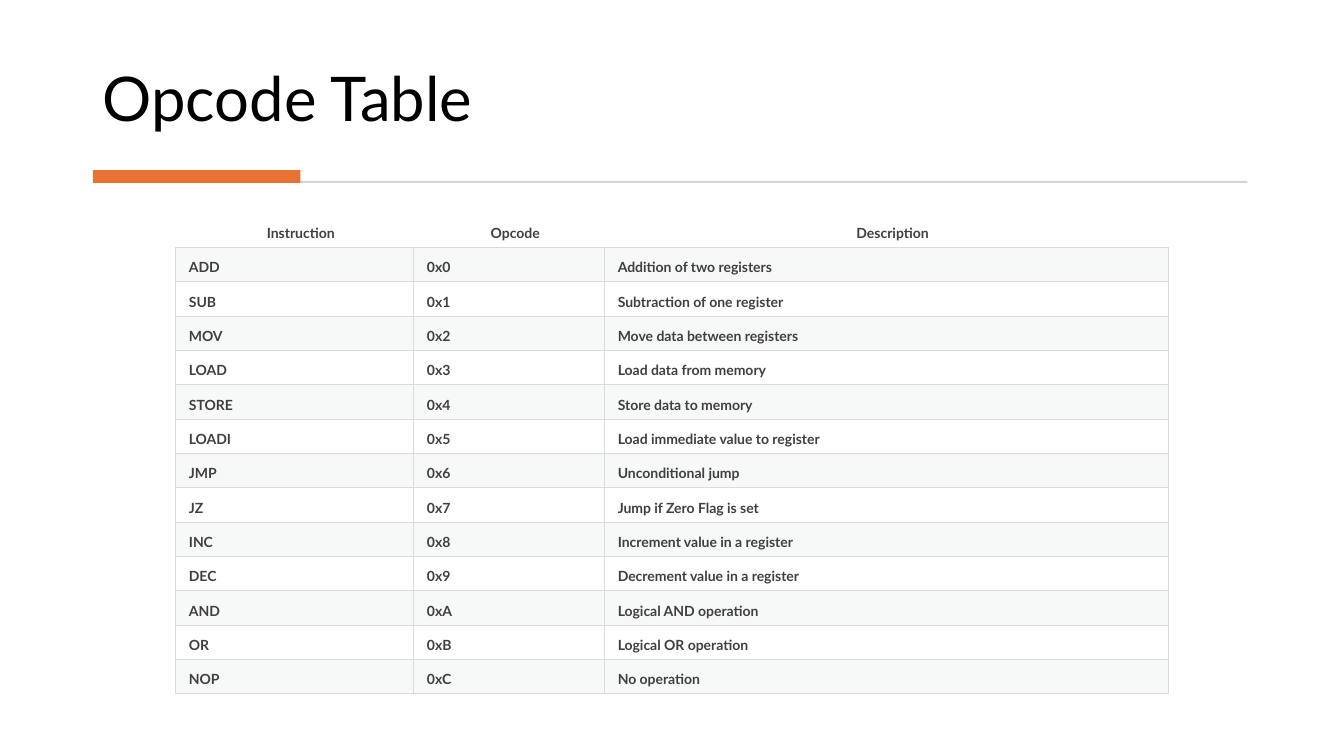
from lxml import etree
from pptx import Presentation
from pptx.dml.color import RGBColor
from pptx.enum import shapes, text
from pptx.oxml import ns
from pptx.util import Cm, Pt

# Content
TITLE = "Opcode Table"
HEADER = ("Instruction", "Opcode", "Description")
INSTRUCTIONS = [
    ("ADD", "Addition of two registers"),
    ("SUB", "Subtraction of one register"),
    ("MOV", "Move data between registers"),
    ("LOAD", "Load data from memory"),
    ("STORE", "Store data to memory"),
    ("LOADI", "Load immediate value to register"),
    ("JMP", "Unconditional jump"),
    ("JZ", "Jump if Zero Flag is set"),
    ("INC", "Increment value in a register"),
    ("DEC", "Decrement value in a register"),
    ("AND", "Logical AND operation"),
    ("OR", "Logical OR operation"),
    ("NOP", "No operation"),
]

# Style
FONT = "Lato"
BLACK = RGBColor(0x00, 0x00, 0x00)
DARK = RGBColor(0x40, 0x40, 0x40)
RULE = RGBColor(0xD5, 0xD5, 0xD5)
ORANGE = RGBColor(0xE9, 0x71, 0x32)
BAND = RGBColor(0xD8, 0xDE, 0xDC)
GRID = RGBColor(0xD8, 0xDC, 0xDC)
BAND_ALPHA = 20
COL_WIDTHS = (Cm(6), Cm(4.81), Cm(14.21))
TABLE_HEIGHT = Cm(12.12)
SIDES = ("L", "R", "T", "B")


def add_bar(s, left, top, width, height, color):
    bar = s.shapes.add_shape(shapes.MSO_SHAPE.RECTANGLE, left, top, width, height)
    bar.shadow.inherit = False
    bar.fill.solid()
    bar.fill.fore_color.rgb = color
    bar.line.fill.background()


def style_text(p, size, color, bold=False):
    font = p.runs[0].font
    font.name, font.size, font.bold = FONT, Pt(size), bold
    font.color.rgb = color


def set_borders(cell, drawn):
    tc_pr = cell._tc.get_or_add_tcPr()
    for i, side in enumerate(SIDES):
        ln = etree.Element(ns.qn(f"a:ln{side}"), w=str(Pt(0.75)))
        if side in drawn:
            fill = etree.SubElement(ln, ns.qn("a:solidFill"))
            etree.SubElement(fill, ns.qn("a:srgbClr"), val=str(GRID))
        else:
            etree.SubElement(ln, ns.qn("a:noFill"))
        tc_pr.insert(i, ln)


def fill_band(cell):
    cell.fill.solid()
    cell.fill.fore_color.rgb = BAND
    color = cell._tc.tcPr.find(".//" + ns.qn("a:srgbClr"))
    etree.SubElement(color, ns.qn("a:alpha"), val=str(BAND_ALPHA * 1000))


def add_opcode_table(s, left, top):
    rows = [HEADER] + [(name, f"0x{code:X}", description)
                       for code, (name, description) in enumerate(INSTRUCTIONS)]
    table = s.shapes.add_table(len(rows), len(HEADER), left, top,
                               sum(COL_WIDTHS), TABLE_HEIGHT).table
    table.horz_banding = False
    for column, width in zip(table.columns, COL_WIDTHS):
        column.width = width
    for r, values in enumerate(rows):
        table.rows[r].height = TABLE_HEIGHT // len(rows)
        for c, value in enumerate(values):
            cell = table.cell(r, c)
            cell.margin_left, cell.margin_right = Cm(0.33), Cm(0.03)
            cell.margin_top = cell.margin_bottom = Cm(0.15)
            cell.vertical_anchor = text.MSO_ANCHOR.BOTTOM
            cell.text_frame.text = value
            p = cell.text_frame.paragraphs[0]
            p.alignment = text.PP_ALIGN.LEFT if r else text.PP_ALIGN.CENTER
            style_text(p, 10, DARK, bold=True)
            if r % 2:
                fill_band(cell)
            else:
                cell.fill.background()
            set_borders(cell, SIDES if r else ("B",))


def main():
    prs = Presentation()
    prs.slide_width, prs.slide_height = Cm(33.87), Cm(19.05)
    s = prs.slides.add_slide(prs.slide_layouts[6])

    # Title
    tf = s.shapes.add_textbox(Cm(2.34), Cm(0.71), Cm(29.18), Cm(2.82)).text_frame
    tf.word_wrap = True
    tf.vertical_anchor = text.MSO_ANCHOR.BOTTOM
    tf.text = TITLE
    tf.paragraphs[0].line_spacing = 0.9
    style_text(tf.paragraphs[0], 44, BLACK)

    # Rule with accent bar
    add_bar(s, Cm(2.41), Cm(4.56), Cm(29.03), Cm(0.05), RULE)
    add_bar(s, Cm(2.34), Cm(4.29), Cm(5.23), Cm(0.32), ORANGE)

    # Opcode table
    add_opcode_table(s, Cm(4.43), Cm(5.37))

    prs.save("out.pptx")


if __name__ == "__main__":
    main()
